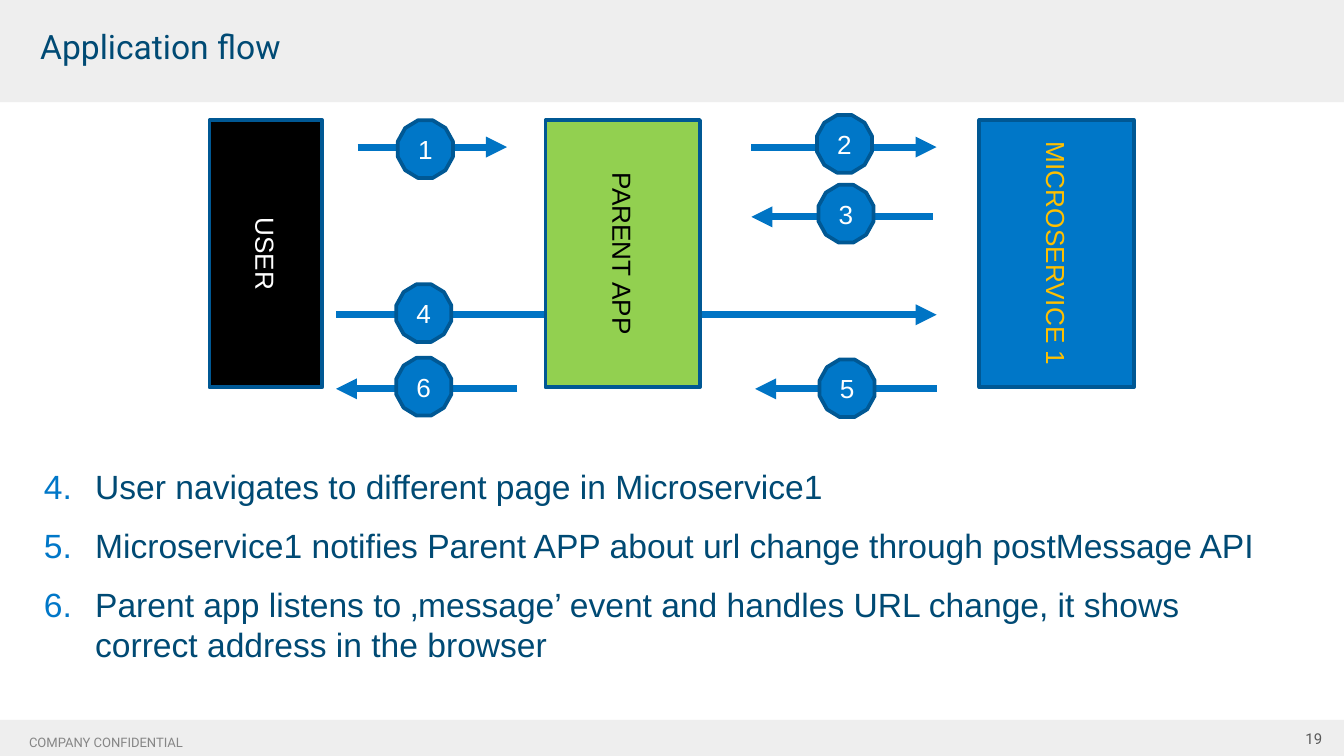
from lxml.etree import SubElement
from pptx import Presentation
from pptx.dml.color import RGBColor
from pptx.enum.shapes import MSO_CONNECTOR, MSO_SHAPE
from pptx.enum.text import MSO_ANCHOR, PP_ALIGN
from pptx.oxml.ns import qn
from pptx.util import Cm, Pt

WHITE = RGBColor(0xFF, 0xFF, 0xFF)
BLACK = RGBColor(0x00, 0x00, 0x00)
BAND_GREY = RGBColor(0xEE, 0xEE, 0xEE)
NUMBER_GREY = RGBColor(0x59, 0x59, 0x59)
FOOTER_GREY = RGBColor(0x86, 0x86, 0x86)
NAVY = RGBColor(0x00, 0x4A, 0x74)
BLUE = RGBColor(0x00, 0x77, 0xC8)
ARROW_BLUE = RGBColor(0x00, 0x74, 0xC4)
OUTLINE_BLUE = RGBColor(0x00, 0x58, 0x94)
GREEN = RGBColor(0x92, 0xD0, 0x50)
AMBER = RGBColor(0xFF, 0xC0, 0x00)

SLIDE_WIDTH, SLIDE_HEIGHT = 25.4, 14.29

# label, left, width, fill, text colour; lefts are relative to the diagram
BLOCKS = [
    ("USER", 0, 2.13, BLACK, WHITE),
    ("PARENT APP", 6.35, 2.92, GREEN, BLACK),
    ("MICROSERVICE 1", 14.55, 2.92, BLUE, AMBER),
]
# start x, end x, y, badge centre x, badge centre y; steps in order
STEPS = [
    (2.8, 5.62, 0.51, 4.08, 0.55),
    (10.24, 13.74, 0.51, 12.0, 0.45),
    (13.67, 10.24, 1.83, 12.03, 1.77),
    (2.39, 13.74, 3.68, 4.05, 3.65),
    (13.74, 10.31, 5.08, 12.05, 5.07),
    (5.82, 2.39, 5.08, 4.05, 5.04),
]
BADGE_WIDTH, BADGE_HEIGHT = 1.04, 1.09

NOTES = [
    "User navigates to different page in Microservice1",
    "Microservice1 notifies Parent APP about url change through postMessage API",
    "Parent app listens to ‚message’ event and handles URL change, "
    "it shows correct address in the browser",
]
FIRST_NOTE = 4


def apply(target, values):
    for name, value in values.items():
        setattr(target, name, value)


def set_margins(frame, size):
    apply(frame, {f"margin_{side}": Cm(size) for side in ("left", "top", "right", "bottom")})


def write(paragraph, words, size, color, face="Arial", align=PP_ALIGN.LEFT):
    paragraph.alignment = align
    run = paragraph.add_run()
    run.text = words
    apply(run.font, {"size": Pt(size), "name": face})
    run.font.color.rgb = color


def add_frame(slide, box, margin, anchor=MSO_ANCHOR.MIDDLE):
    frame = slide.shapes.add_textbox(*map(Cm, box)).text_frame
    apply(frame, {"word_wrap": True, "vertical_anchor": anchor})
    set_margins(frame, margin)
    return frame


def add_filled(slide, preset, box, fill, outline=None):
    shape = slide.shapes.add_shape(preset, *map(Cm, box))
    shape.shadow.inherit = False
    shape.fill.solid()
    shape.fill.fore_color.rgb = fill
    if outline is None:
        shape.line.fill.background()
    else:
        shape.line.color.rgb = outline
        shape.line.width = Pt(2)
    return shape


def add_header(slide, box):
    left, top, width, height = box
    add_filled(slide, MSO_SHAPE.RECTANGLE, box, BAND_GREY)
    title = add_frame(slide, (left + 0.58, top + 0.38, width - 2.26, 0.97), 0.18)
    write(title.paragraphs[0], "Application flow", 18, NAVY, "Roboto")


def add_footer(slide, box):
    left, top, width, height = box
    add_filled(slide, MSO_SHAPE.RECTANGLE, box, BAND_GREY)
    number = add_frame(slide, (left + width - 1.68, top - 0.2, 1.52, 1.09), 0.25)
    write(number.paragraphs[0], "19", 8, NUMBER_GREY, "Roboto", PP_ALIGN.RIGHT)
    notice = add_frame(slide, (left + 0.3, top + 0.14, 8.33, 0.51), 0.25).paragraphs[0]
    notice.line_spacing = 1.15
    write(notice, "COMPANY CONFIDENTIAL", 7, FOOTER_GREY, "Roboto")


def add_arrow(slide, start_x, end_x, y):
    arrow = slide.shapes.add_connector(
        MSO_CONNECTOR.STRAIGHT, Cm(start_x), Cm(y), Cm(end_x), Cm(y))
    arrow.line.color.rgb = ARROW_BLUE
    arrow.line.width = Pt(3.75)
    SubElement(arrow.line._get_or_add_ln(), qn("a:tailEnd"), type="triangle")
    SubElement(arrow._element.spPr, qn("a:effectLst"))


def add_block(slide, box, label, fill, color):
    """Add a system block whose label reads from top to bottom."""
    frame = add_filled(slide, MSO_SHAPE.RECTANGLE, box, fill, OUTLINE_BLUE).text_frame
    frame.vertical_anchor = MSO_ANCHOR.MIDDLE
    frame._txBody.bodyPr.set("vert", "vert")
    write(frame.paragraphs[0], label, 14, color, align=PP_ALIGN.CENTER)


def add_badge(slide, center_x, center_y, step):
    box = (center_x - BADGE_WIDTH / 2, center_y - BADGE_HEIGHT / 2, BADGE_WIDTH, BADGE_HEIGHT)
    frame = add_filled(slide, MSO_SHAPE.DODECAGON, box, BLUE, OUTLINE_BLUE).text_frame
    frame.vertical_anchor = MSO_ANCHOR.MIDDLE
    set_margins(frame, 0)
    write(frame.paragraphs[0], str(step), 14, WHITE, align=PP_ALIGN.CENTER)


def add_flow_diagram(slide, box):
    """Add arrows first, so that blocks and badges cover them."""
    left, top, width, height = box
    for start_x, end_x, y, *_ in STEPS:
        add_arrow(slide, left + start_x, left + end_x, top + y)
    for label, x, block_width, fill, color in BLOCKS:
        add_block(slide, (left + x, top, block_width, height), label, fill, color)
    for step, (*_, center_x, center_y) in enumerate(STEPS, 1):
        add_badge(slide, left + center_x, top + center_y, step)


def number_paragraph(paragraph):
    properties = paragraph._p.get_or_add_pPr()
    properties.set("marL", str(Cm(1.07)))
    properties.set("indent", str(-Cm(0.97)))
    bullet_color = SubElement(properties, qn("a:buClr"))
    SubElement(bullet_color, qn("a:srgbClr"), val=str(BLUE))
    SubElement(properties, qn("a:buFont"), typeface="Arial")
    SubElement(properties, qn("a:buAutoNum"), type="arabicPeriod", startAt=str(FIRST_NOTE))


def add_notes_list(slide, box):
    frame = add_frame(slide, box, 0.18, MSO_ANCHOR.TOP)
    for index, note in enumerate(NOTES):
        paragraph = frame.add_paragraph() if index else frame.paragraphs[0]
        number_paragraph(paragraph)
        apply(paragraph, {
            "space_before": Pt(5 if index else 0),
            "space_after": Pt(5),
        })
        write(paragraph, note, 18, NAVY)


def main():
    presentation = Presentation()
    presentation.slide_width = Cm(SLIDE_WIDTH)
    presentation.slide_height = Cm(SLIDE_HEIGHT)
    slide = presentation.slides.add_slide(presentation.slide_layouts[6])
    add_header(slide, (0, 0, SLIDE_WIDTH, 1.93))
    add_footer(slide, (0, 13.61, SLIDE_WIDTH, 0.68))
    add_flow_diagram(slide, (3.96, 2.27, 17.48, 5.05))
    add_notes_list(slide, (0.55, 8.63, 23.85, 4.72))
    presentation.save("out.pptx")


if __name__ == "__main__":
    main()
